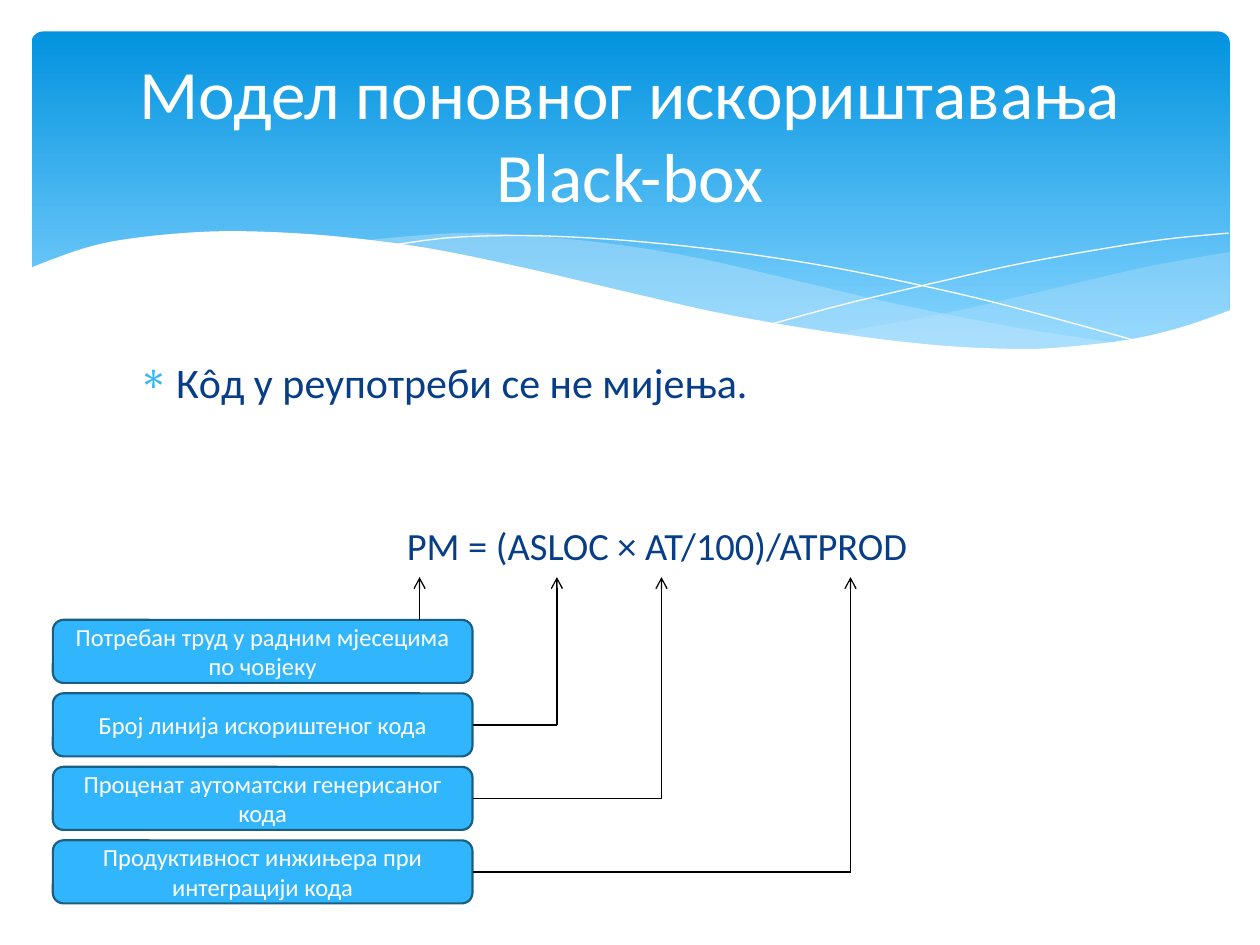
from dataclasses import dataclass
from itertools import pairwise

import pptx
import pptx.dml.color
import pptx.enum.dml
import pptx.enum.shapes
import pptx.enum.text
import pptx.oxml
import pptx.oxml.ns
import pptx.util
from pptx.util import Inches

Point = tuple[float, float]
FONT = "Calibri"
COLORS = {
    "white": "FFFFFF",
    "black": "000000",
    "navy": "073E87",
    "sky": "31B6FD",
    "box_edge": "195F84",
    "banner_top": "0293E0",
    "banner_bottom": "83D3FE",
    "wave": "C6E7FC",
}
ALIGN = pptx.enum.text.PP_ALIGN
ROUNDED = pptx.enum.shapes.MSO_SHAPE.ROUNDED_RECTANGLE


@dataclass(frozen=True)
class Wave:
    """A filled outline between two curves, with an opacity in percent."""
    upper: list[Point]
    lower: list[Point]
    color: str
    opacity: int


@dataclass(frozen=True)
class Factor:
    meaning: str
    arrow_x: float


WAVES = [
    Wave([(9.76, 2), (9.35, 2.07), (8.91, 2.16), (8.32, 2.3), (7.53, 2.48), (6.61, 2.65)],
         [(6.61, 2.65), (7.19, 2.72), (7.69, 2.77), (8.14, 2.78), (8.63, 2.75),
          (9.05, 2.69), (9.42, 2.59), (9.76, 2.47)], "wave", 29),
    Wave([(8.93, 2.73), (8.07, 2.6), (7.06, 2.4), (6.29, 2.22), (5.55, 2.05),
          (4.89, 1.94), (4.2, 1.87), (3.61, 1.85), (2.86, 1.91)],
         [(2.86, 1.91), (3.62, 2.03), (4.49, 2.22), (5.3, 2.4), (6.01, 2.55),
          (6.8, 2.68), (7.48, 2.76), (8.18, 2.78), (8.93, 2.73)], "wave", 40),
]
PAGE_EDGE = Wave(
    [(9.77, 2.46), (9.4, 2.59), (8.99, 2.69), (8.5, 2.75), (8.09, 2.77), (7.44, 2.74),
     (6.68, 2.65), (5.79, 2.5), (5.03, 2.33), (4.18, 2.13), (3.4, 1.97), (2.71, 1.88),
     (2.11, 1.84), (1.61, 1.84), (1.06, 1.89), (0.67, 1.97), (0.23, 2.13)],
    [(0.23, 3.29), (9.77, 3.29)], "white", 100)
HAIRLINES = [
    [(3.09, 1.95), (3.53, 1.89), (4.01, 1.87), (4.5, 1.88), (5.1, 1.92), (5.82, 2),
     (6.65, 2.13), (7.6, 2.33), (8.31, 2.51), (9.07, 2.72)],
    [(6.13, 2.57), (6.72, 2.41), (7.48, 2.23), (8.06, 2.1), (8.66, 1.99),
     (9.24, 1.9), (9.75, 1.85)],
]
FACTORS = [
    Factor("Потребан труд у радним мјесецима по човјеку", 3.33),
    Factor("Број линија искориштеног кода", 4.42),
    Factor("Проценат аутоматски генерисаног кода", 5.25),
    Factor("Продуктивност инжињера при интеграцији кода", 6.75),
]
BOX_LEFT, BOX_TOP, BOX_WIDTH, BOX_HEIGHT = 0.42, 4.92, 3.33, 0.5
BOX_PITCH = 1.75 / 3
ARROW_TIP = 4.58


def rgb(name: str) -> pptx.dml.color.RGBColor:
    return pptx.dml.color.RGBColor.from_string(COLORS[name])


def add_xml(parent, markup: str) -> None:
    namespace = pptx.oxml.ns.nsdecls("a")
    parent.append(pptx.oxml.parse_xml(markup.replace("/>", f" {namespace}/>", 1)))


def curve_through(knots: list[Point], steps: int = 6) -> list[Point]:
    """Sample a Catmull-Rom spline; a pair of knots stays a straight line."""
    padded = [knots[0], *knots, knots[-1]]
    points = [knots[0]]
    for a, b, c, d in zip(padded, padded[1:], padded[2:], padded[3:]):
        for step in range(1, steps + 1):
            t = step / steps
            points.append(tuple(
                (2 * q + (r - p) * t + (2 * p - 5 * q + 4 * r - s) * t**2
                 + (3 * q - p - 3 * r + s) * t**3) / 2
                for p, q, r, s in zip(a, b, c, d)))
    return points


def add_outline(slide, points: list[Point], closed: bool):
    corners = [(Inches(x), Inches(y)) for x, y in points]
    builder = slide.shapes.build_freeform(*corners[0], scale=1.0)
    builder.add_line_segments(corners[1:], close=closed)
    outline = builder.convert_to_shape()
    outline.shadow.inherit = False
    return outline


def add_wave(slide, wave: Wave) -> None:
    outline = add_outline(slide, curve_through(wave.upper) + curve_through(wave.lower), True)
    outline.fill.solid()
    outline.fill.fore_color.rgb = rgb(wave.color)
    outline.line.fill.background()
    if wave.opacity < 100:
        tint = outline.fill._xPr.find(".//" + pptx.oxml.ns.qn("a:srgbClr"))
        add_xml(tint, f'<a:alpha val="{wave.opacity * 1000}"/>')


def add_hairline(slide, knots: list[Point]) -> None:
    outline = add_outline(slide, curve_through(knots), False)
    outline.fill.background()
    outline.line.color.rgb = rgb("white")
    outline.line.width = 0


def add_banner(slide) -> None:
    banner = slide.shapes.add_shape(
        ROUNDED, Inches(0.25), Inches(0.25), Inches(9.51), Inches(2.7))
    banner.adjustments[0] = 0.034
    banner.shadow.inherit = False
    banner.line.fill.background()
    banner.fill.gradient()
    banner.fill.gradient_angle = 270
    stops = [("banner_top", 0), ("banner_bottom", 0.9)]
    for stop, (color, position) in zip(banner.fill.gradient_stops, stops):
        stop.color.rgb = rgb(color)
        stop.position = position


def write(frame, lines: list[str], size: float, color: str, align=ALIGN.CENTER):
    """Fill the first paragraph of a frame, with a line break between lines."""
    frame.word_wrap = True
    paragraph = frame.paragraphs[0]
    paragraph.alignment = align
    for index, line in enumerate(lines):
        if index:
            paragraph.add_line_break()
        run = paragraph.add_run()
        run.text = line
        run.font.name = FONT
        run.font.size = pptx.util.Pt(size)
        run.font.color.rgb = rgb(color)
    return paragraph


def add_text(slide, left: float, top: float, width: float, height: float):
    return slide.shapes.add_textbox(
        Inches(left), Inches(top), Inches(width), Inches(height)).text_frame


def add_bullet(paragraph) -> None:
    properties = paragraph._p.get_or_add_pPr()
    properties.set("marL", str(Inches(0.3)))
    properties.set("indent", str(-Inches(0.3)))
    add_xml(properties, '<a:buClr/>')
    add_xml(properties[-1], f'<a:srgbClr val="{COLORS["sky"]}"/>')
    add_xml(properties, '<a:buChar char="∗"/>')


def add_factor_box(slide, factor: Factor, top: float) -> None:
    box = slide.shapes.add_shape(
        ROUNDED, Inches(BOX_LEFT), Inches(top), Inches(BOX_WIDTH), Inches(BOX_HEIGHT))
    box.shadow.inherit = False
    box.fill.solid()
    box.fill.fore_color.rgb = rgb("sky")
    box.line.color.rgb = rgb("box_edge")
    box.line.width = pptx.util.Pt(1.25)
    box.text_frame.vertical_anchor = pptx.enum.text.MSO_ANCHOR.MIDDLE
    write(box.text_frame, [factor.meaning], 14, "white")


def add_route(slide, stops: list[Point]) -> None:
    """Join the stops with straight lines and put an arrowhead at the last."""
    for start, end in pairwise(stops):
        segment = slide.shapes.add_connector(
            pptx.enum.shapes.MSO_CONNECTOR.STRAIGHT, *map(Inches, start + end))
        segment.line.color.rgb = rgb("black")
        segment.line.width = pptx.util.Pt(0.75)
        add_xml(segment._element.spPr, "<a:effectLst/>")
    add_xml(segment.line._get_or_add_ln(), '<a:tailEnd type="arrow"/>')


def main() -> None:
    deck = pptx.Presentation()
    deck.slide_width, deck.slide_height = Inches(10), Inches(7.5)
    slide = deck.slides.add_slide(deck.slide_layouts[6])

    add_banner(slide)
    for wave in WAVES:
        add_wave(slide, wave)
    for knots in HAIRLINES:
        add_hairline(slide, knots)
    add_wave(slide, PAGE_EDGE)

    statement = add_text(slide, 1, 2.78, 8.1, 0.5)
    add_bullet(write(statement, ["Кôд у реупотреби се не мијења."], 24, "navy", ALIGN.LEFT))
    formula = add_text(slide, 1.33, 4.09, 7.77, 0.48)
    write(formula, ["PM = (ASLOC × AT/100)/ATPROD"], 22, "navy")
    title = add_text(slide, 0.5, 0.37, 9, 1.37)
    title.vertical_anchor = pptx.enum.text.MSO_ANCHOR.MIDDLE
    write(title, ["Модел поновног искориштавања", "Black-box"], 39.6, "white")

    for row, factor in enumerate(FACTORS):
        top = BOX_TOP + row * BOX_PITCH
        add_factor_box(slide, factor, top)
        tip = (factor.arrow_x, ARROW_TIP)
        if factor.arrow_x < BOX_LEFT + BOX_WIDTH:
            add_route(slide, [(factor.arrow_x, top), tip])
        else:
            middle = top + BOX_HEIGHT / 2
            add_route(slide, [(BOX_LEFT + BOX_WIDTH, middle), (factor.arrow_x, middle), tip])
    deck.save("out.pptx")


if __name__ == "__main__":
    main()
